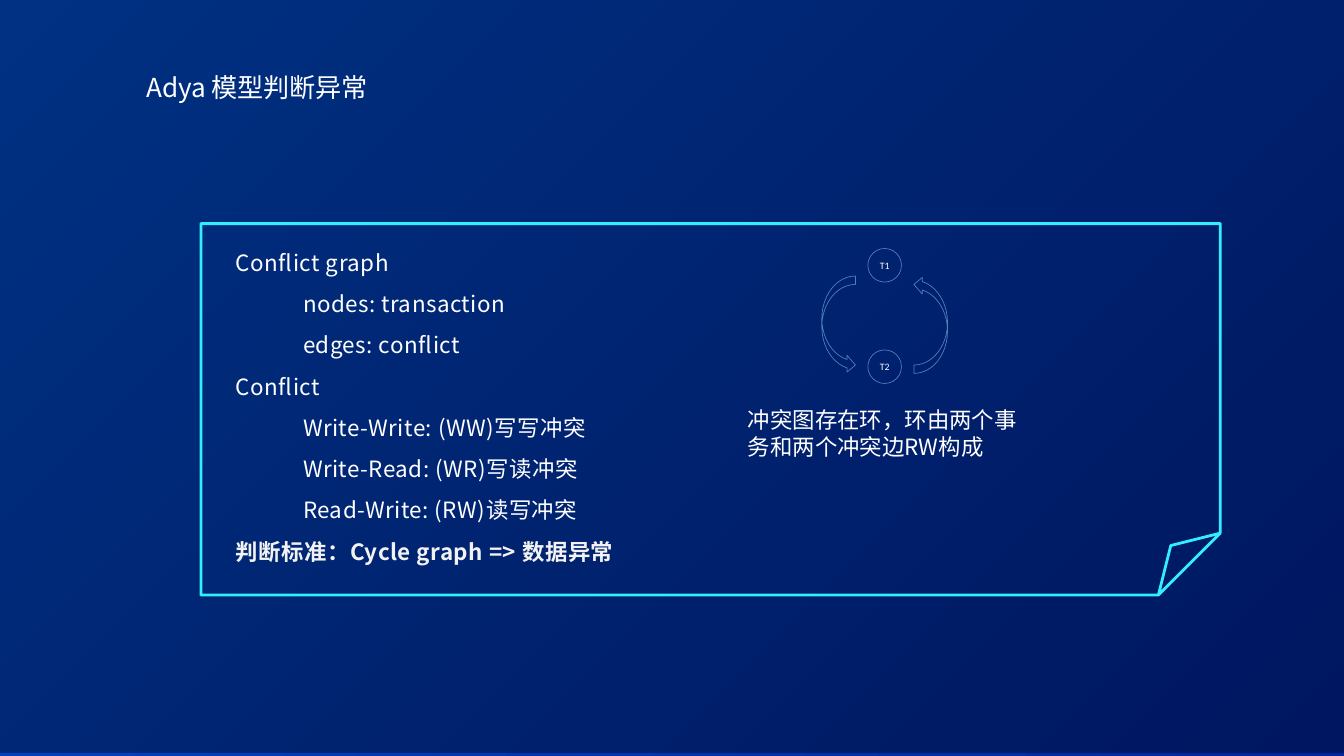
from pptx import Presentation
from pptx.dml.color import RGBColor
from pptx.enum.shapes import MSO_SHAPE
from pptx.enum.text import MSO_ANCHOR, PP_ALIGN
from pptx.oxml.ns import qn
from pptx.util import Inches, Pt
from lxml import etree

RECT = MSO_SHAPE.RECTANGLE
FOLDED = MSO_SHAPE.FOLDED_CORNER
NODE = MSO_SHAPE.FLOWCHART_CONNECTOR
ARROW = MSO_SHAPE.CURVED_RIGHT_ARROW
CENTER, JUSTIFY = PP_ALIGN.CENTER, PP_ALIGN.JUSTIFY
MIDDLE = MSO_ANCHOR.MIDDLE

SANS_SC, SANS_JP = "Noto Sans CJK SC", "Noto Sans CJK JP"
WHITE, CYAN, BLUE = "FFFFFF", "33EEFF", "4F81BD"

# (text, indented, bold, colour)
BODY = [
    ("Conflict graph", False, False, WHITE),
    ("nodes: transaction", True, False, WHITE),
    ("edges: conflict", True, False, WHITE),
    ("Conflict", False, False, WHITE),
    ("Write-Write: (WW)写写冲突", True, False, WHITE),
    ("Write-Read: (WR)写读冲突", True, False, WHITE),
    ("Read-Write: (RW)读写冲突", True, False, WHITE),
    ("判断标准：Cycle graph => 数据异常", False, True, "F2F2F2"),
]


def rgb(value):
    return RGBColor.from_string(value)


def set_attrs(obj, values):
    for name, value in values.items():
        setattr(obj, name, value)


def add_outline(s, kind, box, color, width):
    sp = s.shapes.add_shape(kind, *map(Inches, box))
    sp.shadow.inherit = False
    sp.fill.background()
    sp.line.color.rgb = rgb(color)
    sp.line.width = Pt(width)
    return sp


def add_run(p, text, font, size, color=WHITE, bold=False, spacing=0):
    """Add a run; spacing is the letter spacing in points."""
    r = p.add_run()
    r.text = text
    set_attrs(r.font, {"name": font, "size": Pt(size), "bold": bold})
    r.font.color.rgb = rgb(color)
    rPr = r._r.get_or_add_rPr()
    if spacing:
        rPr.set("spc", str(round(spacing * 100)))
    etree.SubElement(rPr, qn("a:ea")).set("typeface", font)


def add_text_frame(s, box, flush=False):
    """Add a wrapping text box; flush removes its inner margins."""
    tf = s.shapes.add_textbox(*map(Inches, box)).text_frame
    tf.word_wrap = True
    if flush:
        set_attrs(tf, {"margin_left": 0, "margin_right": 0,
                       "margin_top": Inches(0.01), "margin_bottom": 0})
    return tf


def add_background(s, left, top, width, height):
    sp = s.shapes.add_shape(RECT, *map(Inches, (left, top, width, height)))
    sp.shadow.inherit = False
    sp.line.fill.background()
    sp.fill.gradient()
    sp.fill.gradient_angle = 315
    for stop, color, position in zip(sp.fill.gradient_stops, ("0052D9", "0026A1"), (0, 0.99)):
        stop.color.rgb = rgb(color)
        stop.position = position

    right, shade_top = left + width + 0.01, top - 0.04
    bottom = shade_top + height
    fb = s.shapes.build_freeform(Inches(right), Inches(shade_top))
    corners = [(left, shade_top), (left, bottom), (right, bottom)]
    fb.add_line_segments([(Inches(x), Inches(y)) for x, y in corners], close=True)
    shade = fb.convert_to_shape()
    shade.shadow.inherit = False
    shade.line.fill.background()
    shade.fill.solid()
    shade.fill.fore_color.rgb = rgb("000000")
    color = shade._element.spPr.find(qn("a:solidFill"))[0]
    etree.SubElement(color, qn("a:alpha")).set("val", "40000")


def add_title(s, box):
    p = add_text_frame(s, box, flush=True).paragraphs[0]
    p._p.get_or_add_pPr().set("marL", str(Inches(0.01)))
    add_run(p, "Adya 模型判断异常", SANS_JP, 28, spacing=-0.1)


def add_body(s, box):
    tf = add_text_frame(s, box, flush=True)
    for i, (text, indented, bold, color) in enumerate(BODY):
        p = tf.add_paragraph() if i else tf.paragraphs[0]
        set_attrs(p, {"alignment": JUSTIFY, "line_spacing": 1.5,
                      "space_before": Pt(1 if i else 0)})
        pPr = p._p.get_or_add_pPr()
        pPr.set("marL", str(Inches(1.01 if indented else 0.01)))
        pPr.set("indent", "0")
        add_run(p, text, SANS_SC, 24, color, bold, spacing=0.5)


def add_cycle(s, left, top, width, height):
    """Two nodes, top and bottom, joined into a cycle by curved arrows."""
    size, arrow_height = 0.5, 1.45
    for name, y in (("T1", top), ("T2", top + height - size)):
        sp = add_outline(s, NODE, (left + (width - size) / 2, y, size, size), BLUE, 0.75)
        tf = sp.text_frame
        set_attrs(tf, {"word_wrap": False, "vertical_anchor": MIDDLE})
        p = tf.paragraphs[0]
        p.alignment = CENTER
        add_run(p, name, "Calibri", 10.5)
    for x, rotation in ((left, 0), (left + width - size, 180)):
        sp = add_outline(s, ARROW, (x, top + 0.41, size, arrow_height), BLUE, 0.75)
        sp.rotation = rotation


def add_caption(s, box):
    p = add_text_frame(s, box).paragraphs[0]
    add_run(p, "冲突图存在环，环由两个事务和两个冲突边RW构成", SANS_SC, 24)


def main():
    prs = Presentation()
    prs.slide_width, prs.slide_height = Inches(20), Inches(11.256)
    s = prs.slides.add_slide(prs.slide_layouts[6])
    add_background(s, 0, 0, 20, 11.25)
    add_body(s, (3.5, 3.5, 12.52, 6))
    add_title(s, (2.17, 1.06, 4.47, 0.48))
    add_outline(s, FOLDED, (2.99, 3.33, 15.17, 5.53), CYAN, 3)
    add_cycle(s, 12.23, 3.7, 1.87, 2.01)
    add_caption(s, (11.03, 6, 4.45, 0.91))
    prs.save("out.pptx")


if __name__ == "__main__":
    main()
